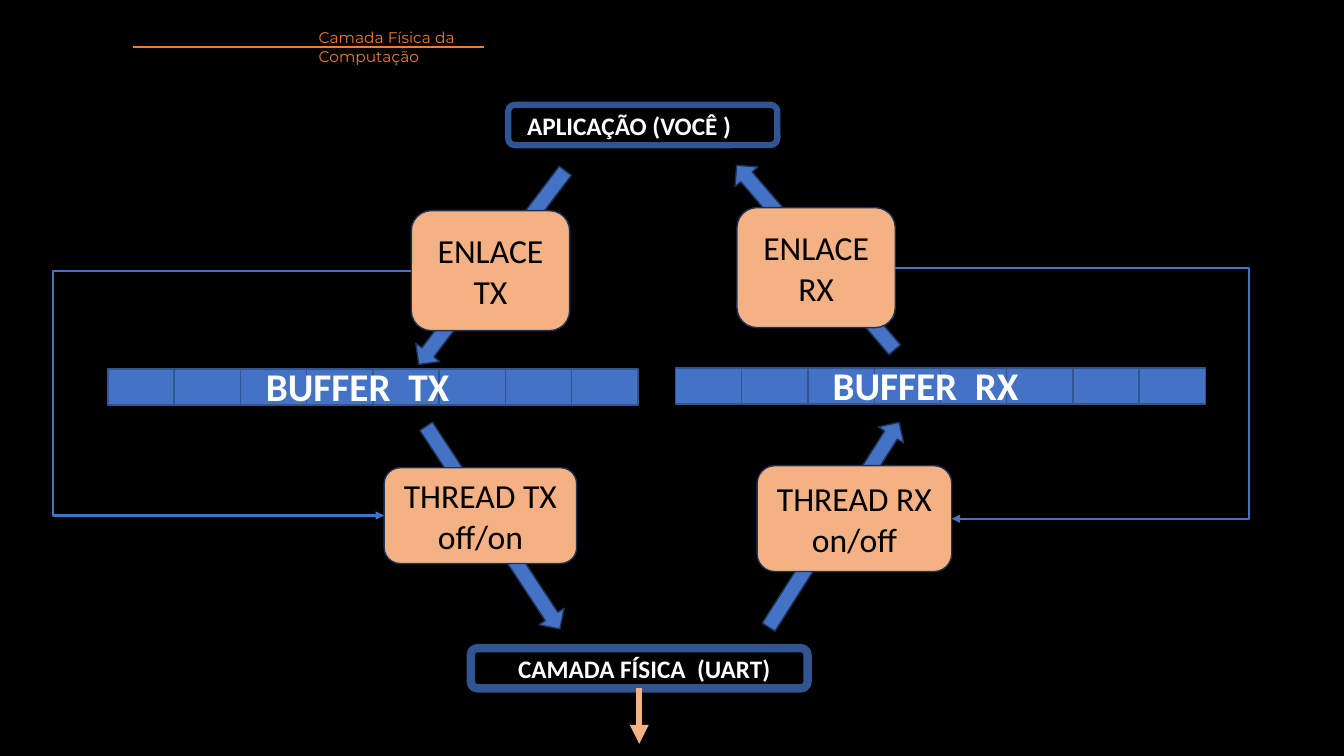
from dataclasses import dataclass

from lxml.etree import SubElement
from pptx import Presentation
from pptx.dml.color import RGBColor
from pptx.enum.shapes import MSO_CONNECTOR as Connector, MSO_SHAPE as Preset
from pptx.enum.text import MSO_ANCHOR as Anchor, MSO_AUTO_SIZE as AutoSize, PP_ALIGN as Align
from pptx.oxml.ns import qn
from pptx.shapes.autoshape import Shape
from pptx.shapes.connector import Connector as ConnectorShape
from pptx.slide import Slide
from pptx.text.text import TextFrame
from pptx.util import Inches, Pt

BLACK = RGBColor(0x00, 0x00, 0x00)
WHITE = RGBColor(0xFF, 0xFF, 0xFF)
ORANGE = RGBColor(0xED, 0x7D, 0x31)
PEACH = RGBColor(0xF4, 0xB1, 0x83)
BLUE = RGBColor(0x44, 0x72, 0xC4)
NAVY = RGBColor(0x1E, 0x32, 0x56)
CELL_EDGE = RGBColor(0x32, 0x54, 0x91)
FRAME_EDGE = RGBColor(0x2F, 0x55, 0x97)

LEFT, BOTTOM, RIGHT = 1, 2, 3
CELL_COUNT = 8
CELL_PITCH = 0.657
CELL_WIDTH, CELL_HEIGHT = 0.66, 0.36
ARROW_WIDTH, ARROW_LENGTH = 0.3, 2.41


@dataclass
class Box:
    left: float
    top: float
    width: float
    height: float


@dataclass
class FlowArrow:
    left: float
    top: float
    rotation: float


@dataclass
class Buffer:
    left: float
    top: float
    label: str
    label_box: Box


@dataclass
class Layer:
    label: str
    label_box: Box
    frame_box: Box
    edge: RGBColor
    edge_width: float


@dataclass
class Stage:
    label: str
    box: Box


@dataclass
class Loop:
    source: str
    target: str
    site: int
    turn_x: float


FLOW_ARROWS = [
    FlowArrow(8.12, 4, 212.5),
    FlowArrow(4.74, 4.03, 326.6),
    FlowArrow(7.94, 1.35, 139.4),
    FlowArrow(4.73, 1.45, 37.1),
]
BUFFERS = [
    Buffer(1.07, 3.66, "BUFFER  TX", Box(2.54, 3.55, 3.54, 0.57)),
    Buffer(6.7, 3.65, "BUFFER  RX", Box(8.16, 3.54, 3.54, 0.57)),
]
LAYERS = [
    Layer("APLICAÇÃO (VOCÊ )", Box(5.13, 1.05, 3.14, 0.4), Box(5.04, 1.04, 2.67, 0.4), FRAME_EDGE, 4.5),
    Layer("CAMADA FÍSICA  (UART)", Box(5.04, 6.43, 3.14, 0.4), Box(4.67, 6.43, 3.34, 0.4), CELL_EDGE, 6),
]
STAGES = [
    Stage("ENLACE TX", Box(4.08, 2.09, 1.57, 1.19)),
    Stage("ENLACE RX", Box(7.31, 2.06, 1.57, 1.19)),
    Stage("THREAD TX\noff/on", Box(3.81, 4.64, 1.91, 0.95)),
    Stage("THREAD RX\non/off", Box(7.51, 4.62, 1.93, 1.05)),
]
LOOPS = [
    Loop("ENLACE TX", "THREAD TX\noff/on", LEFT, 0.53),
    Loop("ENLACE RX", "THREAD RX\non/off", RIGHT, 12.39),
]


def inches(box: Box) -> list[Inches]:
    return [Inches(value) for value in (box.left, box.top, box.width, box.height)]


def write(text_frame: TextFrame, text: str, size: float, color: RGBColor, font: str = "Calibri",
          bold: bool = False, align: Align = Align.LEFT) -> None:
    text_frame.word_wrap = True
    text_frame.text = text
    for paragraph in text_frame.paragraphs:
        paragraph.alignment = align
        for run in paragraph.runs:
            run.font.name = font
            run.font.size = Pt(size)
            run.font.bold = bold
            run.font.color.rgb = color


def add_label(slide: Slide, text: str, box: Box, size: float) -> None:
    text_frame = slide.shapes.add_textbox(*inches(box)).text_frame
    write(text_frame, text, size, WHITE, bold=True)


def add_box(slide: Slide, preset: Preset, box: Box, fill: RGBColor | None,
            edge: RGBColor, edge_width: float = 1) -> Shape:
    shape = slide.shapes.add_shape(preset, *inches(box))
    shape.shadow.inherit = False
    if fill is None:
        shape.fill.background()
    else:
        shape.fill.solid()
        shape.fill.fore_color.rgb = fill
    shape.line.color.rgb = edge
    shape.line.width = Pt(edge_width)
    return shape


def add_line(slide: Slide, kind: Connector, start: tuple[float, float], end: tuple[float, float],
             color: RGBColor, width: float, arrow: bool = False) -> ConnectorShape:
    points = [Inches(value) for value in (*start, *end)]
    connector = slide.shapes.add_connector(kind, *points)
    connector.line.color.rgb = color
    connector.line.width = Pt(width)
    if arrow:
        SubElement(connector.line._get_or_add_ln(), qn("a:tailEnd"), type="triangle")
    SubElement(connector._element.spPr, qn("a:effectLst"))
    return connector


def add_header(slide: Slide) -> None:
    title = slide.shapes.title
    title.left, title.top, title.width, title.height = inches(Box(3.06, 0.23, 2.39, 0.47))
    write(title.text_frame, "Camada Física da Computação", 11, ORANGE, "Montserrat")
    title.text_frame.vertical_anchor = Anchor.TOP
    title.text_frame.auto_size = AutoSize.NONE
    add_line(slide, Connector.STRAIGHT, (1.32, 0.47), (4.8, 0.47), ORANGE, 1.5)


def add_buffer(slide: Slide, buffer: Buffer) -> None:
    for index in range(CELL_COUNT):
        cell = Box(buffer.left + index * CELL_PITCH, buffer.top, CELL_WIDTH, CELL_HEIGHT)
        add_box(slide, Preset.RECTANGLE, cell, BLUE, CELL_EDGE)
    add_label(slide, buffer.label, buffer.label_box, 28)


def add_layer(slide: Slide, layer: Layer) -> Shape:
    add_label(slide, layer.label, layer.label_box, 18)
    return add_box(slide, Preset.ROUNDED_RECTANGLE, layer.frame_box, None, layer.edge, layer.edge_width)


def add_stage(slide: Slide, stage: Stage) -> Shape:
    shape = add_box(slide, Preset.ROUNDED_RECTANGLE, stage.box, PEACH, NAVY)
    write(shape.text_frame, stage.label, 24, BLACK, align=Align.CENTER)
    shape.text_frame.vertical_anchor = Anchor.MIDDLE
    return shape


def add_loop(slide: Slide, loop: Loop, stages: dict[str, Shape]) -> None:
    connector = add_line(slide, Connector.ELBOW, (0, 0), (1, 1), BLUE, 1.5, arrow=True)
    connector.begin_connect(stages[loop.source], loop.site)
    connector.end_connect(stages[loop.target], loop.site)
    turn = (Inches(loop.turn_x) - connector.begin_x) / (connector.end_x - connector.begin_x)
    guides = connector._element.spPr.find(qn("a:prstGeom")).find(qn("a:avLst"))
    SubElement(guides, qn("a:gd"), name="adj1", fmla=f"val {round(turn * 100000)}")


def main() -> None:
    presentation = Presentation()
    presentation.slide_width, presentation.slide_height = Inches(13.33), Inches(7.5)
    slide = presentation.slides.add_slide(presentation.slide_layouts[5])
    slide.background.fill.solid()
    slide.background.fill.fore_color.rgb = BLACK

    add_header(slide)
    for arrow in FLOW_ARROWS:
        box = Box(arrow.left, arrow.top, ARROW_WIDTH, ARROW_LENGTH)
        add_box(slide, Preset.DOWN_ARROW, box, BLUE, NAVY).rotation = arrow.rotation
    for buffer in BUFFERS:
        add_buffer(slide, buffer)
    frames = [add_layer(slide, layer) for layer in LAYERS]
    output = add_line(slide, Connector.STRAIGHT, (6.34, 6.88), (6.34, 7.38), PEACH, 4.5, arrow=True)
    output.begin_connect(frames[-1], BOTTOM)
    stages = {stage.label: add_stage(slide, stage) for stage in STAGES}
    for loop in LOOPS:
        add_loop(slide, loop, stages)
    presentation.save("out.pptx")


if __name__ == "__main__":
    main()
